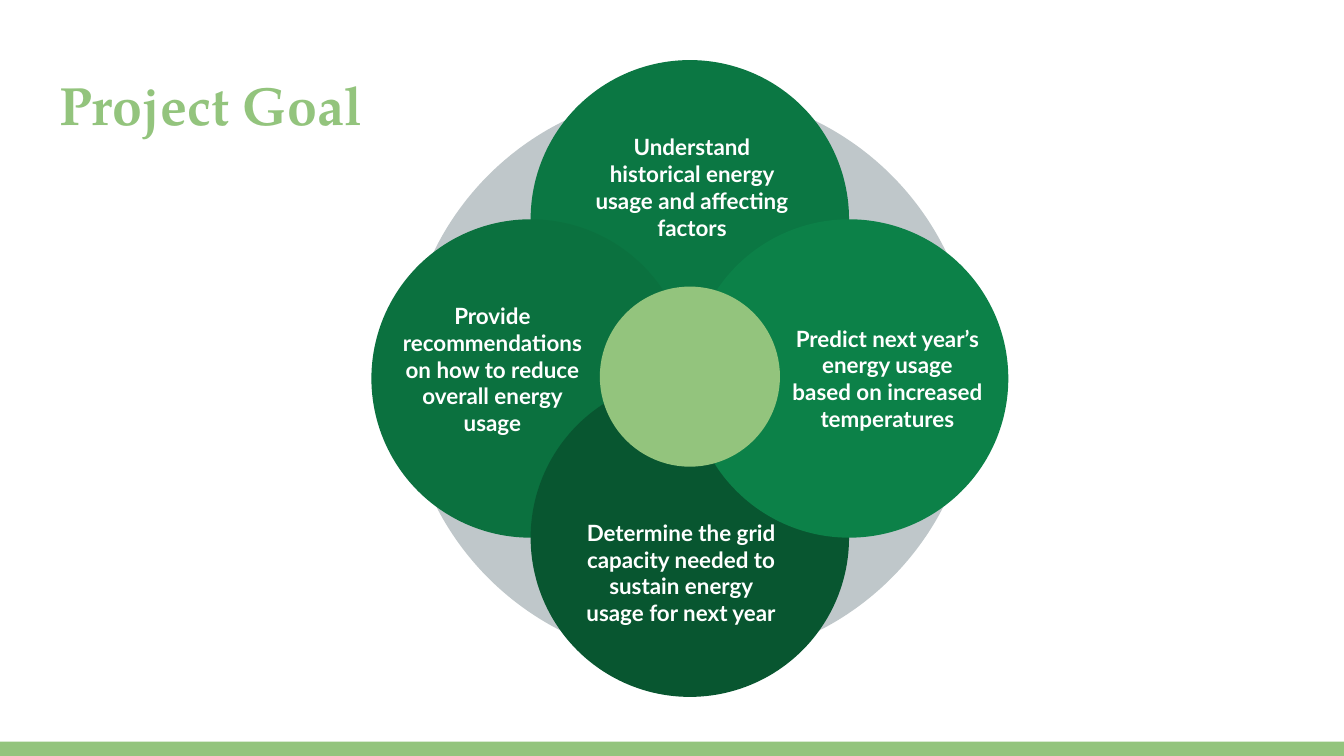
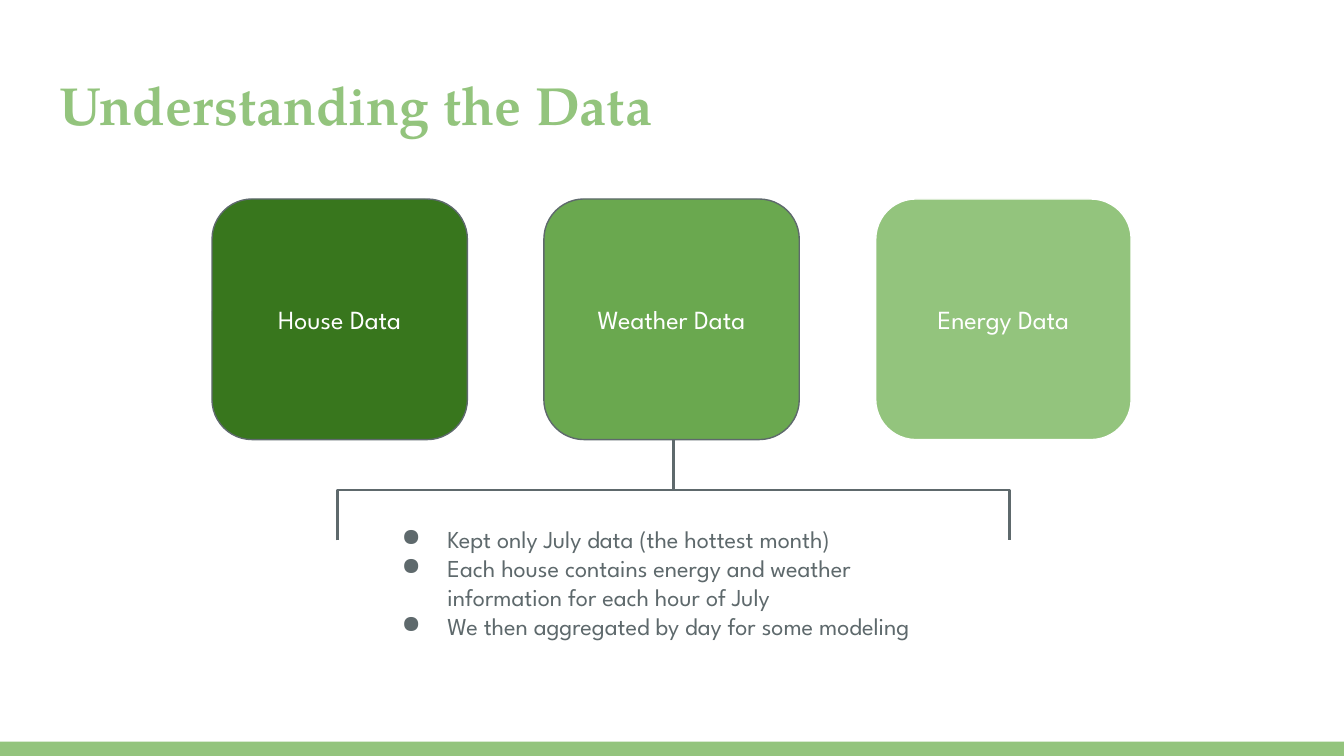
from lxml import etree
from pptx import Presentation
from pptx.dml.color import RGBColor
from pptx.enum.shapes import MSO_CONNECTOR as Connector, MSO_SHAPE as Preset
from pptx.enum.text import MSO_ANCHOR as Anchor, MSO_AUTO_SIZE as AutoSize, PP_ALIGN as Align
from pptx.oxml.ns import qn
from pptx.util import Pt

WIDTH, HEIGHT = 720, 405
LIGHT_GREEN, WHITE, SLATE, SILVER = "93C47D", "FFFFFF", "5E696C", "BFC7CA"
TITLE_FONT, PETAL_FONT, BODY_FONT = "TeX Gyre Pagella", "Lato", "League Spartan"

PETALS = [
    ((0, -1), "0B7743", (27.4, 40.3), "Understand historical energy usage and affecting factors"),
    ((-1, 0), "0B713F", (5.8, 52.6), "Provide recommendations on how to reduce overall energy usage"),
    ((0, 1), "085630", (21.6, 76.3),
     "Determine the grid capacity needed to sustain energy usage for next year"),
    ((1, 0), "0C8148", (46.8, 57.6), "Predict next year’s energy usage based on increased temperatures"),
]
TILES = [
    ("House Data", "38761D", SLATE),
    ("Weather Data", "6AA84F", SLATE),
    ("Energy Data", LIGHT_GREEN, WHITE),
]
NOTES = [
    "Kept only July data (the hottest month)",
    "Each house contains energy and weather information for each hour of July",
    "We then aggregated by day for some modeling",
]


def color(value):
    return RGBColor.from_string(value)


def add_filled(shapes, preset, box, fill, line=None):
    shape = shapes.add_shape(preset, *map(Pt, box))
    shape.shadow.inherit = False
    shape.fill.solid()
    shape.fill.fore_color.rgb = color(fill)
    if line:
        shape.line.color.rgb = color(line)
        shape.line.width = Pt(0.75)
    else:
        shape.line.fill.background()
    return shape


def add_circle(shapes, center_x, center_y, size, fill):
    box = (center_x - size / 2, center_y - size / 2, size, size)
    return add_filled(shapes, Preset.OVAL, box, fill)


def write(shape, lines, font, size, fill, bold=False, align=Align.LEFT, anchor=Anchor.TOP):
    frame = shape.text_frame
    frame.word_wrap = True
    frame.auto_size = AutoSize.NONE
    frame.vertical_anchor = anchor
    frame.margin_left = frame.margin_right = Pt(7.2)
    frame.margin_top = frame.margin_bottom = Pt(7.2)
    for index, line in enumerate(lines):
        paragraph = frame.add_paragraph() if index else frame.paragraphs[0]
        paragraph.alignment = align
        run = paragraph.add_run()
        run.text = line
        run.font.name = font
        run.font.size = Pt(size)
        run.font.bold = bold
        run.font.color.rgb = color(fill)
    return frame


def add_bullet(paragraph):
    properties = paragraph._p.get_or_add_pPr()
    properties.set("marL", str(Pt(36)))
    properties.set("indent", str(Pt(-24.5)))
    bullet_color = etree.SubElement(properties, qn("a:buClr"))
    etree.SubElement(bullet_color, qn("a:srgbClr")).set("val", SLATE)
    etree.SubElement(properties, qn("a:buChar")).set("char", "●")


def add_titled_slide(presentation, text):
    slide = presentation.slides.add_slide(presentation.slide_layouts[5])
    add_filled(slide.shapes, Preset.RECTANGLE, (0, HEIGHT - 7.6, WIDTH, 7.6), LIGHT_GREEN)
    title = slide.shapes.title
    title.left, title.top, title.width, title.height = map(Pt, (24.5, 31, 668, 49))
    write(title, [text], TITLE_FONT, 28.8, LIGHT_GREEN, bold=True)
    return slide


def add_flower(slide, left, top, size):
    center_x, center_y = left + size / 2, top + size / 2
    petal_size, reach = size / 2, size / 4
    add_circle(slide.shapes, center_x, center_y - 1, 305.3, SILVER)
    for (across, down), fill, (text_x, text_y), text in PETALS:
        petal_x, petal_y = center_x + across * reach, center_y + down * reach
        group = slide.shapes.add_group_shape()
        petal = add_circle(group.shapes, petal_x, petal_y, petal_size, fill)
        label = group.shapes.add_textbox(
            petal.left + Pt(text_x), petal.top + Pt(text_y), Pt(118), Pt(55.4))
        write(label, [text], PETAL_FONT, 12, WHITE, True, Align.CENTER, Anchor.MIDDLE)
    add_circle(slide.shapes, center_x, center_y - 1, 96.5, LIGHT_GREEN)


def add_tiles(slide, left, top, width, height):
    tile_width = 136.8
    pitch = (width - tile_width) / (len(TILES) - 1)
    for index, (text, fill, line) in enumerate(TILES):
        box = (left + index * pitch, top, tile_width, height)
        tile = add_filled(slide.shapes, Preset.ROUNDED_RECTANGLE, box, fill, line)
        write(tile, [text], BODY_FONT, 14, WHITE, align=Align.CENTER, anchor=Anchor.MIDDLE)


def add_bracket(slide, left, top, width, height):
    arm = width / 2
    middle = top + height / 2
    for center_x, flipped in ((left + arm * 1.5, True), (left + arm / 2, False)):
        ends = [center_x - height / 2, center_x + height / 2]
        start, end = reversed(ends) if flipped else ends
        connector = slide.shapes.add_connector(
            Connector.ELBOW, Pt(start), Pt(middle - arm / 2), Pt(end), Pt(middle + arm / 2))
        connector.line.color.rgb = color(SLATE)
        connector.line.width = Pt(1.5)
        properties = connector._element.spPr
        properties.find(qn("a:xfrm")).set("rot", str(270 * 60000))
        etree.SubElement(properties, qn("a:effectLst"))


def add_notes(slide, left, top, width, height):
    notes = slide.shapes.add_textbox(*map(Pt, (left, top, width, height)))
    frame = write(notes, NOTES, BODY_FONT, 13, SLATE)
    for paragraph in frame.paragraphs:
        add_bullet(paragraph)


def main():
    presentation = Presentation()
    presentation.slide_width, presentation.slide_height = Pt(WIDTH), Pt(HEIGHT)

    goal_slide = add_titled_slide(presentation, "Project Goal")
    add_flower(goal_slide, 199, 32.2, 341.2)

    data_slide = add_titled_slide(presentation, "Understanding the Data")
    add_tiles(data_slide, 113.6, 106.6, 492.4, 128.9)
    add_bracket(data_slide, 180.7, 235.5, 360, 54)
    add_notes(data_slide, 196.6, 273.6, 327.6, 78.5)

    presentation.save("out.pptx")


if __name__ == "__main__":
    main()
